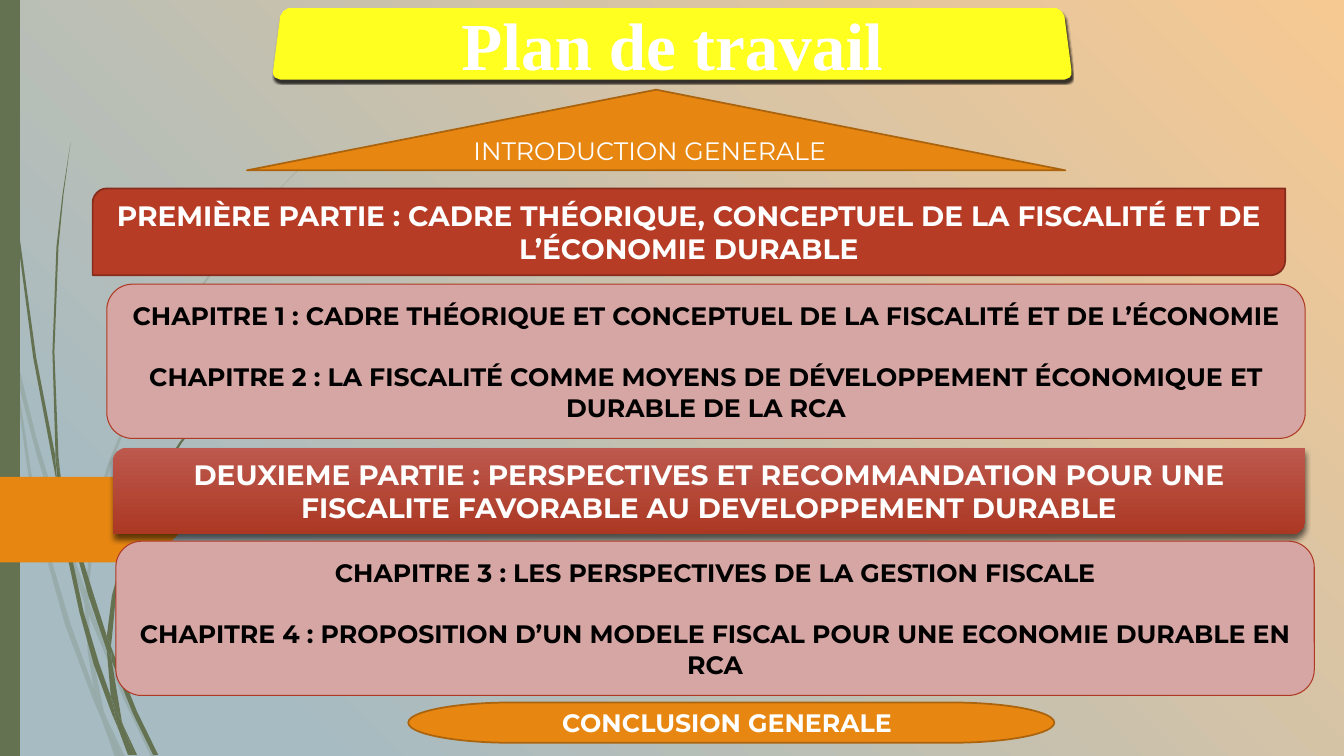
from lxml.etree import SubElement
from pptx import Presentation
from pptx.dml.color import RGBColor
from pptx.enum.shapes import MSO_SHAPE
from pptx.enum.text import MSO_ANCHOR, PP_ALIGN
from pptx.oxml.ns import qn
from pptx.util import Pt

COLORS = {
    "sand": "F7C992", "mist": "A6BBC2", "olive": "647252", "orange": "E78712",
    "yellow": "FFFF20", "red": "B73C26", "dark red": "872C1C", "pink": "D5A6A3",
    "brick": "AF3924", "brown": "AB640D", "light red": "BD594E",
    "deep red": "AB3823", "white": "FFFFFF", "black": "000000",
}
RGB = {name: RGBColor.from_string(value) for name, value in COLORS.items()}

prs = Presentation()
prs.slide_width, prs.slide_height = Pt(960), Pt(540)
slide = prs.slides.add_slide(prs.slide_layouts[6])


def draw_outline(points, color):
    """Draw a filled polygon; points are in steps of 0.72 pt."""
    builder = slide.shapes.build_freeform(*points[0], scale=Pt(0.72))
    builder.add_line_segments(points[1:], close=True)
    outline = builder.convert_to_shape()
    outline.shadow.inherit = False
    outline.fill.solid()
    outline.fill.fore_color.rgb = RGB[color]
    outline.line.fill.background()
    return outline


def add_shadow(shape, blur, distance, angle, opacity):
    """Give the shape an outer shadow; angle in degrees, opacity in percent."""
    effects = shape._element.spPr.find(qn("a:effectLst"))
    shadow = SubElement(effects, qn("a:outerShdw"), blurRad=str(Pt(blur)),
                        dist=str(Pt(distance)), dir=str(angle * 60000),
                        algn="ctr", rotWithShape="0")
    color = SubElement(shadow, qn("a:srgbClr"), val=COLORS["black"])
    SubElement(color, qn("a:alpha"), val=str(opacity * 1000))


# Background
backdrop = slide.background.fill
backdrop.gradient()
backdrop.gradient_angle = 225
for stop, color, position in zip(backdrop.gradient_stops, ("sand", "mist"), (0, 0.85)):
    stop.color.rgb = RGB[color]
    stop.position = position

# Grass blades on the left edge
pale_blades = [
    [(11, 350), (9, 322), (0, 282), (0, 299), (10, 344)],
    [(58, 522), (84, 599), (85, 586), (62, 520), (36, 434), (14, 345), (17, 376), (36, 450)],
    [(92, 607), (88, 596), (88, 610), (123, 694), (150, 751), (155, 751), (127, 692)],
    [(119, 751), (124, 751), (105, 711)],
    [(93, 683), (70, 619), (48, 545), (31, 469), (17, 376), (11, 350), (28, 470),
     (44, 546), (65, 621), (92, 693), (101, 714), (99, 707)],
    [(84, 599), (87, 646), (93, 683), (96, 692), (105, 711), (103, 706), (91, 646),
     (88, 610), (88, 608)],
    [(88, 584), (96, 511), (110, 462), (132, 405), (160, 349), (193, 296), (229, 245),
     (268, 198), (290, 175), (312, 154), (312, 153), (289, 175), (268, 197), (228, 244),
     (191, 295), (158, 348), (130, 403), (107, 461), (92, 511), (85, 584), (85, 586),
     (88, 596)],
    [(101, 714), (114, 751), (119, 751)],
    [(88, 608), (88, 610), (88, 596), (85, 586), (84, 599)],
    [(96, 692), (93, 683), (99, 707), (101, 714), (119, 751), (105, 711)],
]
dark_blades = [
    [(7, 110), (17, 233), (33, 355), (56, 477), (57, 481), (55, 457), (55, 453), (36, 355),
     (19, 232), (8, 109), (5, 48), (4, 0), (3, 0), (4, 48)],
    [(88, 592), (106, 645), (106, 633), (106, 631), (93, 590), (75, 532), (60, 472),
     (64, 505)],
    [(113, 649), (110, 641), (111, 656), (132, 708), (152, 749), (157, 749), (136, 706)],
    [(110, 691), (98, 657), (83, 607), (72, 556), (64, 505), (57, 477), (68, 557),
     (79, 608), (93, 659), (111, 708), (117, 722), (116, 717)],
    [(60, 472), (58, 453), (54, 349), (58, 245), (63, 193), (70, 141), (62, 193),
     (56, 245), (52, 349), (55, 449)],
    [(133, 749), (136, 749), (122, 719)],
    [(57, 477), (64, 505), (60, 472), (55, 449), (55, 453)],
    [(111, 633), (115, 592), (125, 552), (139, 513), (158, 476), (180, 440), (205, 406),
     (231, 374), (245, 359), (261, 344), (260, 344), (245, 358), (231, 373), (204, 405),
     (178, 439), (156, 474), (137, 511), (122, 551), (111, 591), (106, 631), (110, 641)],
    [(117, 722), (127, 749), (131, 749)],
    [(106, 645), (110, 691), (116, 706), (122, 719), (121, 716), (111, 656), (109, 651)],
    [(106, 645), (109, 651), (111, 656), (110, 641), (106, 631), (106, 633)],
    [(116, 706), (110, 691), (116, 717), (117, 722), (130, 749), (133, 749), (122, 719)],
]
for blade in pale_blades:
    olive = draw_outline(blade, "olive")._element.spPr.find(".//" + qn("a:srgbClr"))
    SubElement(olive, qn("a:alpha"), val="20000")
for blade in dark_blades:
    draw_outline(blade, "olive")

draw_outline([(0, 0), (20, 0), (20, 750), (0, 750)], "olive")
draw_outline([(0, 473), (147, 473), (151, 474), (190, 513), (190, 517), (151, 556),
              (147, 558), (0, 558)], "orange")

# Title banner, its right half mirroring the left one
banner_left = [(278, 79), (273, 77), (271, 74), (271, 70), (278, 16), (281, 11), (286, 8)]
banner_right = [(1334 - x, y) for x, y in reversed(banner_left)]
banner = draw_outline(banner_left + banner_right, "yellow")
add_shadow(banner, blur=1, distance=2.6, angle=80, opacity=75)

# Plan: preset, box, fill, line, line width, right inset
plan = [
    (MSO_SHAPE.ROUND_2_DIAG_RECTANGLE, (66.2, 134.6, 851.8, 62), "red", "dark red", 1.25, 7.2),
    (MSO_SHAPE.ROUNDED_RECTANGLE, (76.3, 203, 856, 110.2), "pink", "brick", 0.75, 7.2),
    (MSO_SHAPE.ISOSCELES_TRIANGLE, (176.4, 64.1, 584.6, 57.6), "orange", "brown", 1.25, 16.2),
    (MSO_SHAPE.ROUND_2_DIAG_RECTANGLE, (80.6, 319.7, 851.8, 62), None, None, 0, 7.2),
    (MSO_SHAPE.ROUNDED_RECTANGLE, (82.8, 386.6, 856, 110.2), "pink", "brick", 0.75, 7.2),
    (MSO_SHAPE.FLOWCHART_TERMINATOR, (291.6, 501.8, 461.5, 28.8), "orange", "brown", 1.25, 13.2),
]
blocks = [banner]
for preset, box, fill, line, width, right_inset in plan:
    block = slide.shapes.add_shape(preset, *map(Pt, box))
    block.shadow.inherit = False
    if fill:
        block.fill.solid()
        block.fill.fore_color.rgb = RGB[fill]
        block.line.color.rgb = RGB[line]
        block.line.width = Pt(width)
    else:
        block.fill.gradient()
        block.fill.gradient_angle = 270
        for stop, color in zip(block.fill.gradient_stops, ("light red", "deep red")):
            stop.color.rgb = RGB[color]
        block.line.fill.background()
        add_shadow(block, blur=4, distance=3, angle=90, opacity=60)
    block.text_frame.margin_right = Pt(right_inset)
    blocks.append(block)

title_format = {"name": "Times New Roman", "size": Pt(48), "bold": True}
part_format = {"name": "Montserrat", "size": Pt(20), "bold": True}
chapter_format = {"name": "Montserrat", "size": Pt(18), "bold": True}
intro_format = {"name": "Montserrat", "size": Pt(18), "bold": False}
wording = [
    (title_format, "white", ["Plan de travail"]),
    (part_format, "white", ["PREMIÈRE PARTIE : CADRE THÉORIQUE, CONCEPTUEL DE LA FISCALITÉ "
                            "ET DE L’ÉCONOMIE DURABLE"]),
    (chapter_format, "black", [
        "CHAPITRE 1 : CADRE THÉORIQUE ET CONCEPTUEL DE LA FISCALITÉ ET DE L’ÉCONOMIE",
        "CHAPITRE 2 : LA FISCALITÉ COMME MOYENS DE DÉVELOPPEMENT ÉCONOMIQUE ET DURABLE DE LA RCA"]),
    (intro_format, "white", ["INTRODUCTION GENERALE"]),
    (part_format, "white", ["DEUXIEME PARTIE : PERSPECTIVES ET RECOMMANDATION POUR UNE "
                            "FISCALITE FAVORABLE AU DEVELOPPEMENT DURABLE"]),
    (chapter_format, "black", [
        "CHAPITRE 3 : LES PERSPECTIVES DE LA GESTION FISCALE",
        "CHAPITRE 4 : PROPOSITION D’UN MODELE FISCAL POUR UNE ECONOMIE DURABLE EN RCA"]),
    (chapter_format, "white", ["CONCLUSION GENERALE"]),
]
for block, (text_format, color, lines) in zip(blocks, wording):
    frame = block.text_frame
    frame.word_wrap = True
    frame.vertical_anchor = MSO_ANCHOR.MIDDLE
    for number, text in enumerate(lines):
        paragraph = frame.add_paragraph() if number else frame.paragraphs[0]
        paragraph.alignment = PP_ALIGN.CENTER
        if number:
            paragraph.space_before = Pt(22)
        run = paragraph.add_run()
        run.text = text
        for attribute, value in text_format.items():
            setattr(run.font, attribute, value)
        run.font.color.rgb = RGB[color]

prs.save("out.pptx")
